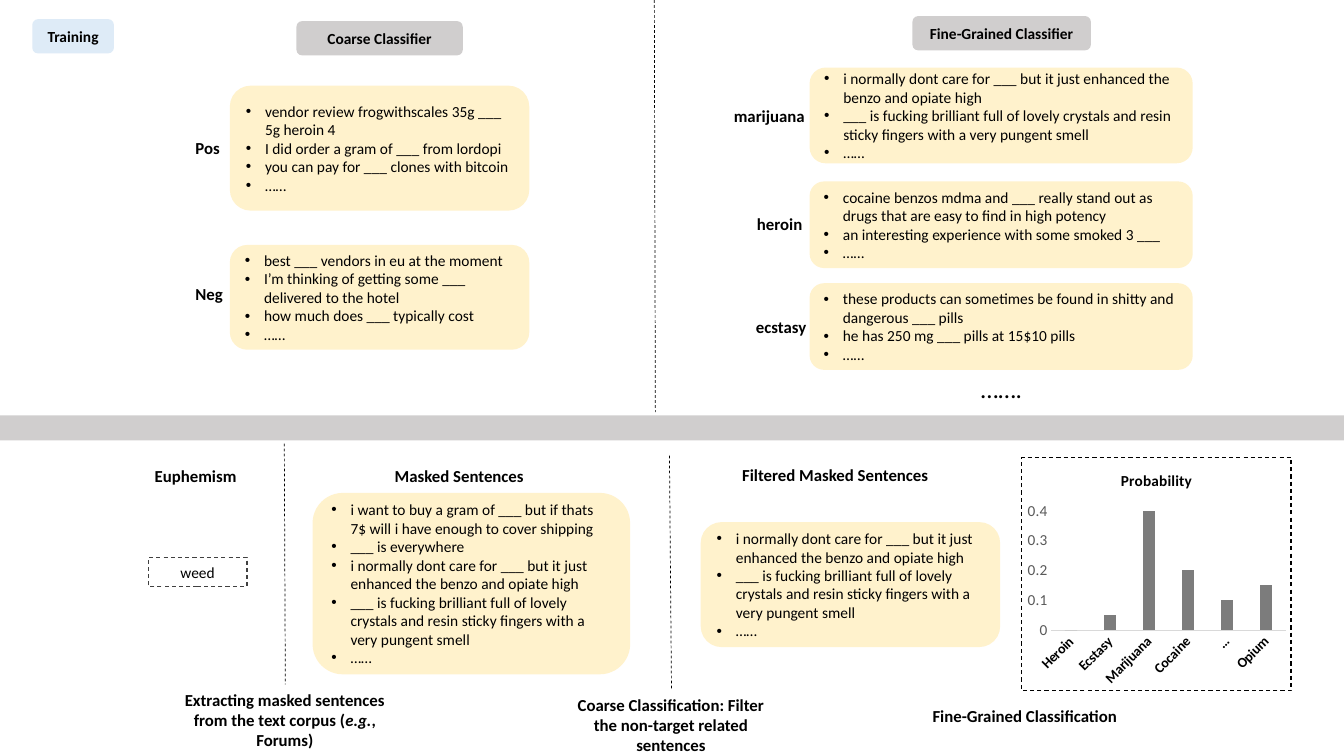
from lxml.etree import SubElement
from pptx import Presentation
from pptx.chart.data import CategoryChartData
from pptx.dml.color import RGBColor
from pptx.enum.chart import XL_CHART_TYPE, XL_TICK_MARK
from pptx.enum.dml import MSO_LINE
from pptx.enum.shapes import MSO_CONNECTOR, MSO_SHAPE
from pptx.enum.text import MSO_ANCHOR, PP_ALIGN
from pptx.oxml import parse_xml
from pptx.oxml.ns import nsdecls, qn
from pptx.util import Inches, Pt

# Content: position and size in inches, then the text
MORE = "……"
ENHANCED = "i normally dont care for ___ but it just enhanced the benzo and opiate high"
BRILLIANT = ("___ is fucking brilliant full of lovely crystals and resin sticky "
             "fingers with a very pungent smell")

SENTENCE_CARDS = [
    (2.28, 0.85, 2.97, 1.24, ["vendor review frogwithscales 35g ___ 5g heroin 4",
                              "I did order a gram of ___ from lordopi",
                              "you can pay for ___ clones with bitcoin"]),
    (2.28, 2.43, 2.97, 1.04, ["best ___ vendors in eu at the moment",
                              "I’m thinking of getting some ___ delivered to the hotel",
                              "how much does ___ typically cost"]),
    (8.03, 0.67, 3.8, 0.95, [ENHANCED, BRILLIANT]),
    (8.03, 1.8, 3.8, 0.86, ["cocaine benzos mdma and ___ really stand out as drugs "
                            "that are easy to find in high potency",
                            "an interesting experience with some smoked 3 ___ "]),
    (8.03, 2.81, 3.8, 0.86, ["these products can sometimes be found in shitty and "
                             "dangerous ___ pills",
                             "he has 250 mg ___ pills at 15$10 pills"]),
    (3.1, 4.89, 3.15, 1.8, ["i want to buy a gram of ___ but if thats 7$ will i have "
                            "enough to cover shipping",
                            "___ is everywhere", ENHANCED, BRILLIANT]),
    (6.95, 5.18, 2.97, 1.24, [ENHANCED, BRILLIANT]),
]
TAGS = [
    (0.32, 0.19, 0.81, "Training", "DEEBF7"),
    (2.94, 0.21, 1.65, "Coarse Classifier", "D0CECE"),
    (9.05, 0.16, 1.77, "Fine-Grained Classifier", "D0CECE"),
]
CLASS_LABELS = [
    (1.84, 1.32, 0.44, "Pos"), (1.84, 2.77, 0.48, "Neg"),
    (7.18, 1.0, 0.91, "marijuana"), (7.41, 2.07, 0.66, "heroin"),
    (7.4, 3.09, 0.7, "ecstasy"),
]
HEADINGS = [
    (1.43, 4.57, 1.02, "Euphemism"), (3.81, 4.57, 1.49, "Masked Sentences"),
    (7.25, 4.56, 2.07, "Filtered Masked Sentences"),
]
# Asterisks enclose italic words
STEPS = [
    (1.68, 6.79, 2.29, 0.71,
     "Extracting masked sentences from the text corpus (*e.g.*, Forums)"),
    (5.54, 6.84, 2.23, 0.71,
     "Coarse Classification: Filter the non-target related sentences"),
    (8.88, 6.95, 2.57, 0.3, "Fine-Grained Classification"),
]
DIVIDERS = [(6.49, 0, 6.5, 4.09), (2.82, 4.4, 2.83, 6.79), (6.64, 4.52, 6.66, 6.84)]
PROBABILITY = {"Heroin": 0, "Ecstasy": 0.05, "Marijuana": 0.5,
               "Cocaine": 0.2, "…": 0.1, "Opium": 0.15}

deck = Presentation()
deck.slide_width, deck.slide_height = Inches(13.33), Inches(7.5)
page = deck.slides.add_slide(deck.slide_layouts[6])


def color(value):
    return RGBColor.from_string(value)


def set_font(font, size, hue="000000", bold=False):
    font.name, font.size, font.bold = "Calibri", Pt(size), bold
    font.color.rgb = color(hue)


def write(box, text, size=11, bold=False, align=PP_ALIGN.CENTER, bullets=False,
          wrap=True, anchor=MSO_ANCHOR.MIDDLE):
    frame = box.text_frame
    frame.word_wrap, frame.vertical_anchor = wrap, anchor
    lines = text if bullets else [text]
    for index, line in enumerate(lines):
        para = frame.paragraphs[0] if index == 0 else frame.add_paragraph()
        para.alignment = align
        if bullets:
            props = para._p.get_or_add_pPr()
            props.set("marL", str(Inches(0.19)))
            props.set("indent", str(-Inches(0.19)))
            SubElement(props, qn("a:buFont")).set("typeface", "Arial")
            SubElement(props, qn("a:buChar")).set("char", "•")
        for part, words in enumerate(line.split("*")):
            span = para.add_run()
            span.text = words
            set_font(span.font, size, bold=bold)
            span.font.italic = part % 2 == 1


def add_box(kind, left, top, width, height, fill=None):
    box = page.shapes.add_shape(kind, Inches(left), Inches(top),
                                Inches(width), Inches(height))
    box.shadow.inherit = False
    box.line.fill.background()
    if fill:
        box.fill.solid()
        box.fill.fore_color.rgb = color(fill)
    else:
        box.fill.background()
    return box


def add_label(left, top, width, height, text, size=12, bold=True, **layout):
    box = page.shapes.add_textbox(Inches(left), Inches(top),
                                  Inches(width), Inches(height))
    write(box, text, size=size, bold=bold, anchor=MSO_ANCHOR.TOP, **layout)


def dash(line, width, hue="000000"):
    line.color.rgb = color(hue)
    line.width, line.dash_style = Pt(width), MSO_LINE.DASH


# Band between training and inference, and the dividers
add_box(MSO_SHAPE.RECTANGLE, 0, 4.12, 13.33, 0.25, "D0CECE")
for ends in DIVIDERS:
    divider = page.shapes.add_connector(MSO_CONNECTOR.STRAIGHT, *map(Inches, ends))
    dash(divider.line, 0.5)
    SubElement(divider._element.spPr, qn("a:effectLst"))

# Tags, sentence cards and the input word
for left, top, width, text, fill in TAGS:
    write(add_box(MSO_SHAPE.ROUNDED_RECTANGLE, left, top, width, 0.34, fill),
          text, bold=True)
for left, top, width, height, sentences in SENTENCE_CARDS:
    card = add_box(MSO_SHAPE.ROUNDED_RECTANGLE, left, top, width, height, "FFF2CC")
    write(card, sentences + [MORE], align=PP_ALIGN.LEFT, bullets=True)
euphemism = add_box(MSO_SHAPE.RECTANGLE, 1.47, 5.53, 0.98, 0.29)
dash(euphemism.line, 0.75, "404040")
write(euphemism, "weed")

# Labels, headings and step captions
for left, top, width, text in CLASS_LABELS:
    add_label(left, top, width, 0.3, text, align=PP_ALIGN.LEFT, wrap=False)
for left, top, width, text in HEADINGS:
    add_label(left, top, width, 0.3, text, wrap=False)
for step in STEPS:
    add_label(*step)
add_label(9.63, 3.65, 0.61, 0.4, "…….", size=18, bold=False,
          align=PP_ALIGN.LEFT, wrap=False)

# Probability chart
data = CategoryChartData()
data.categories = list(PROBABILITY)
data.add_series("Series 1", list(PROBABILITY.values()))
chart = page.shapes.add_chart(XL_CHART_TYPE.COLUMN_CLUSTERED, Inches(10.13), Inches(4.53),
                              Inches(2.68), Inches(2.33), data).chart
set_font(chart.font, 10)
chart.has_legend = False
chart.has_title = True
title = chart.chart_title.text_frame.paragraphs[0].add_run()
title.text = "Probability"
set_font(title.font, 11, bold=True)

plot = chart.plots[0]
plot.gap_width, plot.overlap, plot.vary_by_categories = 219, -27, False
bars = plot.series[0].format.fill
bars.solid()
bars.fore_color.rgb = color("7C7C7C")

drugs, scale = chart.category_axis, chart.value_axis
for axis in (drugs, scale):
    axis.major_tick_mark = axis.minor_tick_mark = XL_TICK_MARK.NONE
    axis.has_major_gridlines = False
set_font(drugs.tick_labels.font, 10, bold=True)
drugs.format.line.color.rgb = color("D9D9D9")
drugs.format.line.width = Pt(0.75)
drugs._element.find(qn("c:txPr")).find(qn("a:bodyPr")).set("rot", "-2700000")
set_font(scale.tick_labels.font, 11, "595959")
scale.format.line.fill.background()
scale.minimum_scale, scale.maximum_scale, scale.major_unit = 0, 0.4, 0.1

# Plot area position and dashed chart frame
area = chart.element.chart.plotArea
for layout in area.findall(qn("c:layout")):
    area.remove(layout)
places = {"x": 0.11, "y": 0.23, "w": 0.87, "h": 0.51}
area.insert(0, parse_xml(
    f'<c:layout {nsdecls("c")}><c:manualLayout><c:layoutTarget val="inner"/>'
    '<c:xMode val="edge"/><c:yMode val="edge"/>'
    + "".join(f'<c:{name} val="{value}"/>' for name, value in places.items())
    + "</c:manualLayout></c:layout>"))
chart.element.chart.addnext(parse_xml(
    f'<c:spPr {nsdecls("c", "a")}><a:noFill/><a:ln w="{Pt(0.75)}"><a:solidFill>'
    '<a:srgbClr val="000000"/></a:solidFill><a:prstDash val="dash"/></a:ln></c:spPr>'))

deck.save("out.pptx")
